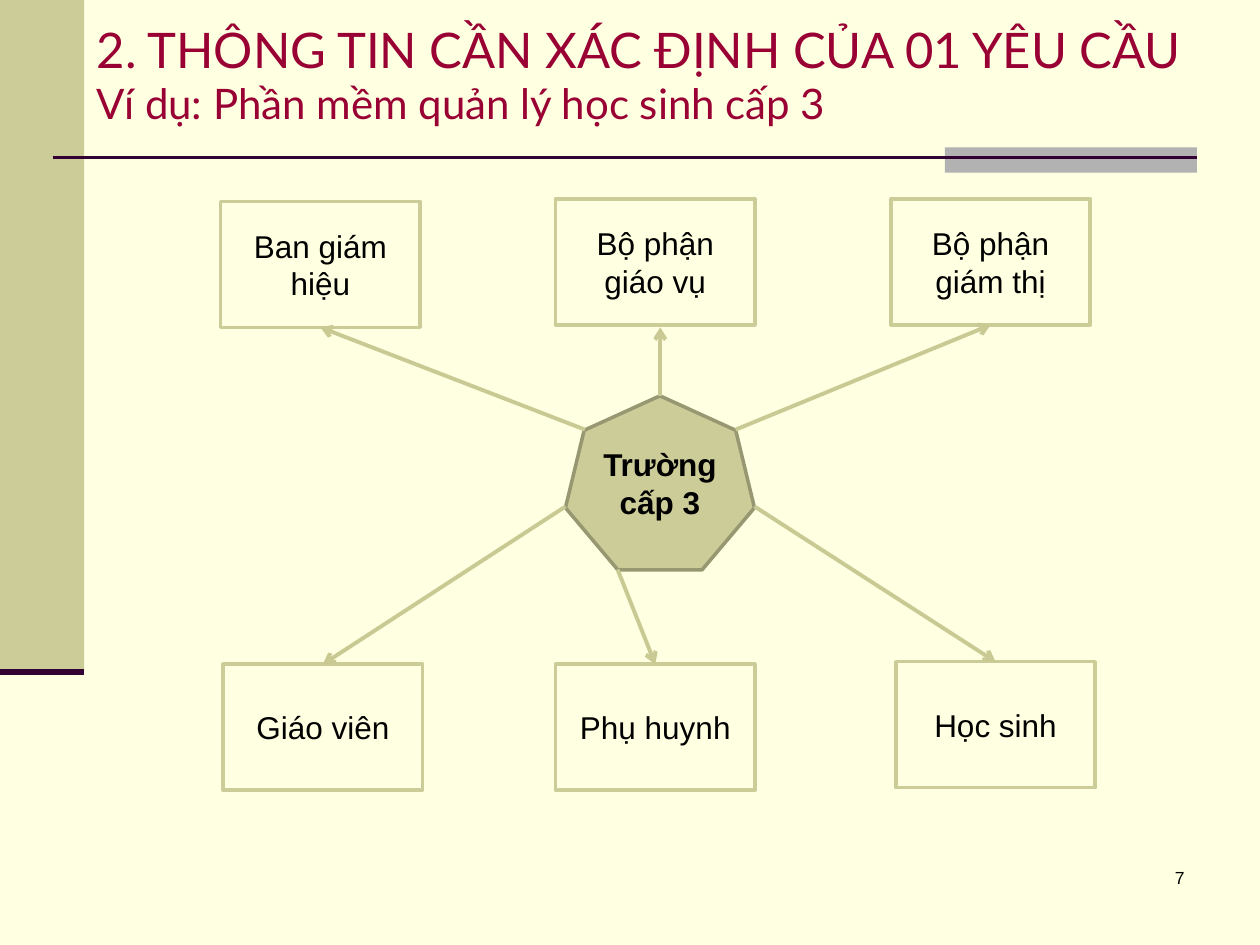
"""Build a slide showing a school and the six groups its software serves."""
import dataclasses

import lxml.etree
import pptx
import pptx.dml.color
import pptx.enum.shapes
import pptx.enum.text
import pptx.oxml.ns
import pptx.util

Cm = pptx.util.Cm
Pt = pptx.util.Pt
RGB = pptx.dml.color.RGBColor.from_string
SHAPE = pptx.enum.shapes.MSO_SHAPE
ALIGN = pptx.enum.text.PP_ALIGN
ANCHOR = pptx.enum.text.MSO_ANCHOR
qn = pptx.oxml.ns.qn


@dataclasses.dataclass(frozen=True)
class Theme:
    paper: str = "FFFFE1"
    sand: str = "CCCC99"
    sand_dark: str = "979771"
    arrow: str = "C9C994"
    grey: str = "B2B2B2"
    rule: str = "330033"
    heading: str = "990033"
    ink: str = "000000"
    heading_font: str = "Lato"
    body_font: str = "Arial"
    title_size: int = 28
    subtitle_size: int = 24
    body_size: int = 18
    number_size: int = 10


theme = Theme()


def write(box, text, sizes, font, color, align, anchor, bold=False):
    frame = box.text_frame
    frame.word_wrap = True
    frame.vertical_anchor = anchor
    para = frame.paragraphs[0]
    para.text = text
    para.alignment = align
    for span, size in zip(para.runs, sizes):
        span.font.name = font
        span.font.size = Pt(size)
        span.font.bold = bold
        span.font.color.rgb = RGB(color)


def draw_line(start, end, color, width):
    line = page.shapes.add_connector(
        pptx.enum.shapes.MSO_CONNECTOR.STRAIGHT,
        Cm(start[0]), Cm(start[1]), Cm(end[0]), Cm(end[1]))
    line.line.color.rgb = RGB(color)
    line.line.width = Pt(width)
    lxml.etree.SubElement(line.element.spPr, qn("a:effectLst"))
    return line


deck = pptx.Presentation()
deck.slide_width = Cm(25.4)
deck.slide_height = Cm(19.05)
page = deck.slides.add_slide(deck.slide_layouts[6])
page.background.fill.solid()
page.background.fill.fore_color.rgb = RGB(theme.paper)

for left, top, width, height, color in (
        (0, 0, 1.7, 13.54, theme.sand),
        (19.05, 2.97, 5.08, 0.51, theme.grey)):
    band = page.shapes.add_shape(SHAPE.RECTANGLE, Cm(left), Cm(top), Cm(width), Cm(height))
    band.shadow.inherit = False
    band.fill.solid()
    band.fill.fore_color.rgb = RGB(color)
    band.line.fill.background()
draw_line((1.06, 3.17), (24.13, 3.17), theme.rule, 1.5)
draw_line((0, 13.54), (1.7, 13.54), theme.rule, 3.5)

title = page.shapes.add_textbox(Cm(1.7), Cm(0), Cm(23.7), Cm(2.97))
write(title, "2. THÔNG TIN CẦN XÁC ĐỊNH CỦA 01 YÊU CẦU\vVí dụ: Phần mềm quản lý học sinh cấp 3",
      (theme.title_size, theme.subtitle_size), theme.heading_font, theme.heading,
      ALIGN.LEFT, ANCHOR.MIDDLE)

BOTTOM, TOP = 2, 0
box_width, box_height = 4.02, 2.54
groups = (
    ("Bộ phận giám thị", 17.96, 4.01, (14.83, 8.66), BOTTOM),
    ("Học sinh", 18.06, 13.34, (15.21, 10.21), TOP),
    ("Giáo viên", 4.5, 13.39, (11.4, 10.21), TOP),
    ("Ban giám hiệu", 4.45, 4.06, (11.79, 8.66), BOTTOM),
    ("Bộ phận giáo vụ", 11.2, 4.01, None, None),
    ("Phụ huynh", 11.2, 13.39, (12.45, 11.48), TOP),
)
nodes = [(name, SHAPE.RECTANGLE, left, top, box_width, box_height, theme.paper, theme.sand, False)
         for name, left, top, corner, side in groups]
nodes.append(("Trường cấp 3", SHAPE.HEPTAGON, 11.4, 7.98, 3.81, 3.51,
              theme.sand, theme.sand_dark, True))
boxes = {}
for name, kind, left, top, width, height, fill, outline, bold in nodes:
    box = page.shapes.add_shape(kind, Cm(left), Cm(top), Cm(width), Cm(height))
    box.shadow.inherit = False
    box.fill.solid()
    box.fill.fore_color.rgb = RGB(fill)
    box.line.color.rgb = RGB(outline)
    box.line.width = Pt(2)
    write(box, name, (theme.body_size,), theme.body_font, theme.ink,
          ALIGN.CENTER, ANCHOR.MIDDLE, bold)
    boxes[name] = box

arrows = [draw_line((13.31, 7.98), (13.31, 6.6), theme.arrow, 2.25)]
for name, left, top, corner, side in groups:
    if corner:
        arrow = draw_line(corner, (left, top), theme.arrow, 2.25)
        arrow.end_connect(boxes[name], side)
        arrows.append(arrow)
for arrow in arrows:
    outline = arrow.element.spPr.find(qn("a:ln"))
    lxml.etree.SubElement(outline, qn("a:tailEnd")).set("type", "arrow")

number = page.shapes.add_textbox(Cm(18.85), Cm(17.35), Cm(5.28), Cm(1.27))
write(number, "7", (theme.number_size,), theme.body_font, theme.ink, ALIGN.RIGHT, ANCHOR.TOP)

deck.save("out.pptx")
